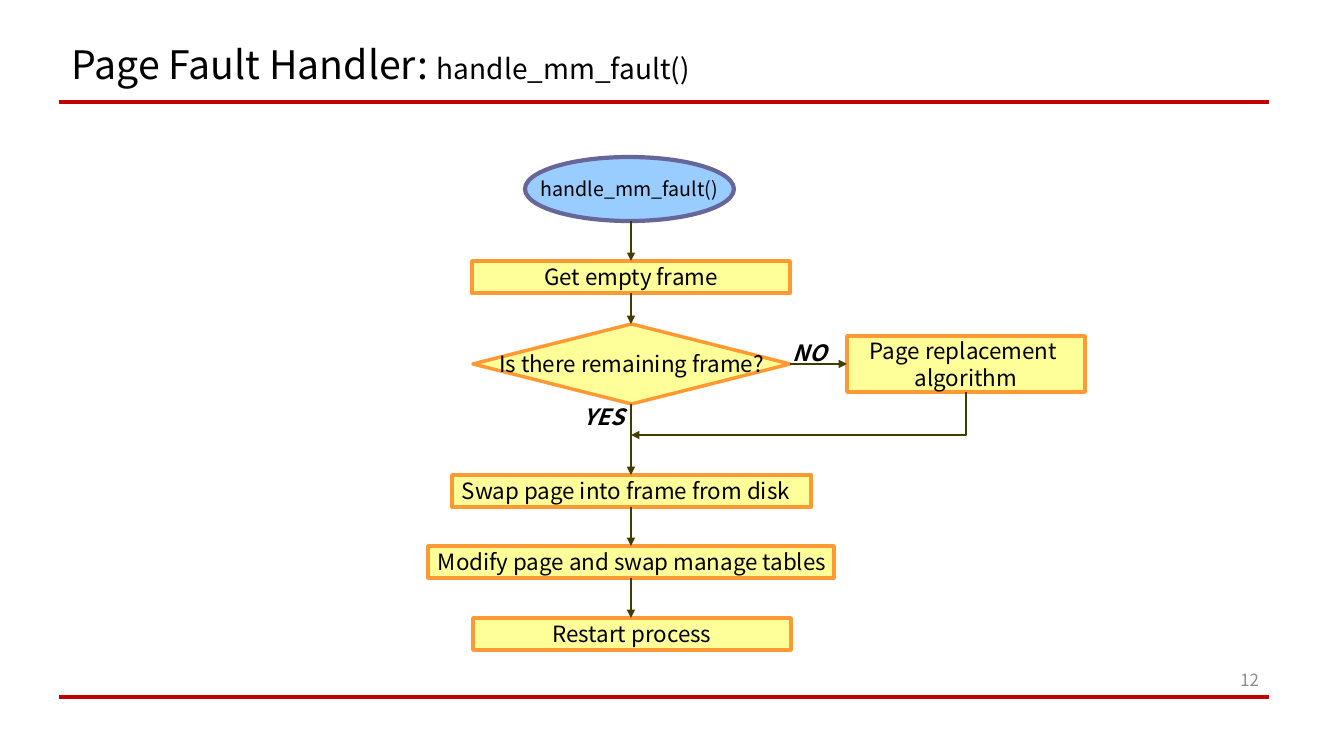
import pptx
import pptx.util
import pptx.dml.color
import pptx.enum.shapes
import pptx.enum.text
import pptx.oxml.ns
import lxml.etree

SHAPE = pptx.enum.shapes.MSO_SHAPE
CONNECTOR = pptx.enum.shapes.MSO_CONNECTOR
ALIGN = pptx.enum.text.PP_ALIGN
ANCHOR = pptx.enum.text.MSO_ANCHOR
RGB = pptx.dml.color.RGBColor

EMU_PER_PIXEL = 914400 / 100.8
FONT = "Noto Sans CJK KR"
BLACK = RGB(0x00, 0x00, 0x00)
GRAY = RGB(0x8C, 0x8C, 0x8C)
RED = RGB(0xC0, 0x00, 0x00)
BLUE = RGB(0x99, 0xCC, 0xFF)
INDIGO = RGB(0x66, 0x66, 0x99)
YELLOW = RGB(0xFF, 0xFF, 0x99)
ORANGE = RGB(0xFF, 0x99, 0x33)
OLIVE = RGB(0x3F, 0x3E, 0x00)


def px(*lengths):
    return [pptx.util.Emu(round(length * EMU_PER_PIXEL)) for length in lengths]


def style_run(run, size, color=BLACK, emphasis=False):
    run.font.name = FONT
    run.font.size = pptx.util.Pt(size)
    run.font.color.rgb = color
    if emphasis:
        run.font.bold = run.font.italic = True


def add_label(slide, box, text, size, color=BLACK, align=ALIGN.LEFT,
              anchor=ANCHOR.TOP, emphasis=False):
    frame = slide.shapes.add_textbox(*px(*box)).text_frame
    frame.word_wrap = True
    frame.vertical_anchor = anchor
    paragraph = frame.paragraphs[0]
    paragraph.text = text
    paragraph.alignment = align
    style_run(paragraph.runs[0], size, color, emphasis)
    return paragraph


def add_step(slide, kind, box, text, align=ALIGN.CENTER, size=16,
             fill=YELLOW, outline=ORANGE, weight=2.5):
    step = slide.shapes.add_shape(kind, *px(*box))
    step.shadow.inherit = False
    step.fill.solid()
    step.fill.fore_color.rgb = fill
    step.line.color.rgb = outline
    step.line.width = pptx.util.Pt(weight)
    frame = step.text_frame
    frame.word_wrap = False
    frame.vertical_anchor = ANCHOR.MIDDLE
    frame.text = text
    for paragraph in frame.paragraphs:
        paragraph.alignment = align
        style_run(paragraph.runs[0], size)


def add_line(slide, start, end, color, weight, kind=CONNECTOR.STRAIGHT):
    line = slide.shapes.add_connector(kind, *px(*start, *end))
    line.line.color.rgb = color
    line.line.width = pptx.util.Pt(weight)
    lxml.etree.SubElement(line._element.spPr, pptx.oxml.ns.qn("a:effectLst"))
    return line


def add_arrow(slide, start, end, kind=CONNECTOR.STRAIGHT):
    arrow = add_line(slide, start, end, OLIVE, 1.5, kind)
    lxml.etree.SubElement(arrow.line._get_or_add_ln(),
                          pptx.oxml.ns.qn("a:tailEnd"), type="triangle")
    return arrow


def add_down_left_arrow(slide, start, end):
    """One-bend arrow: a right-then-down elbow turned by 90 degrees."""
    center_x, center_y = (start[0] + end[0]) / 2, (start[1] + end[1]) / 2
    half_width, half_height = (end[1] - start[1]) / 2, (start[0] - end[0]) / 2
    arrow = add_arrow(slide, (center_x - half_width, center_y - half_height),
                      (center_x + half_width, center_y + half_height),
                      CONNECTOR.ELBOW)
    properties = arrow._element.spPr
    properties.find(pptx.oxml.ns.qn("a:xfrm")).set("rot", "5400000")
    properties.find(pptx.oxml.ns.qn("a:prstGeom")).set("prst", "bentConnector2")


def main():
    deck = pptx.Presentation()
    deck.slide_width, deck.slide_height = px(1344, 756)
    slide = deck.slides.add_slide(deck.slide_layouts[6])

    # Title, rules and page number
    for rule_y in (102, 697):
        add_line(slide, (59, rule_y), (1269, rule_y), RED, 2.25)
    title = add_label(slide, (62, 41, 1159, 53), "Page Fault Handler: ", 28)
    title.line_spacing = 0.9
    function_name = title.add_run()
    function_name.text = "handle_mm_fault()"
    style_run(function_name, 20)
    add_label(slide, (1220, 660, 49, 40), "12", 12, GRAY, ALIGN.RIGHT, ANCHOR.MIDDLE)

    # Flowchart steps
    add_step(slide, SHAPE.OVAL, (525, 157, 209, 64), "handle_mm_fault()",
             size=14, fill=BLUE, outline=INDIGO, weight=3)
    add_step(slide, SHAPE.FLOWCHART_DECISION, (473, 324, 317, 80),
             "Is there remaining frame?")
    for box, text, align in (
        ((472, 261, 318, 32), "Get empty frame", ALIGN.CENTER),
        ((847, 336, 238, 56), "Page replacement \nalgorithm", ALIGN.CENTER),
        ((452, 475, 359, 32), "Swap page into frame from disk", ALIGN.LEFT),
        ((428, 546, 406, 32), "Modify page and swap manage tables", ALIGN.LEFT),
        ((473, 618, 318, 32), "Restart process", ALIGN.CENTER),
    ):
        add_step(slide, SHAPE.FLOWCHART_PROCESS, box, text, align)

    # Arrows down the main path, then the replacement detour
    for top, bottom in ((221, 261), (293, 324), (404, 475), (507, 546), (578, 618)):
        add_arrow(slide, (631, top), (631, bottom))
    add_arrow(slide, (790, 364), (847, 364))
    add_down_left_arrow(slide, (966, 392), (631, 435))

    # Branch labels
    for box, answer in (((783, 334, 72, 37), "NO"), ((574, 398, 72, 37), "YES")):
        add_label(slide, box, answer, 16, emphasis=True)

    deck.save("out.pptx")


main()
